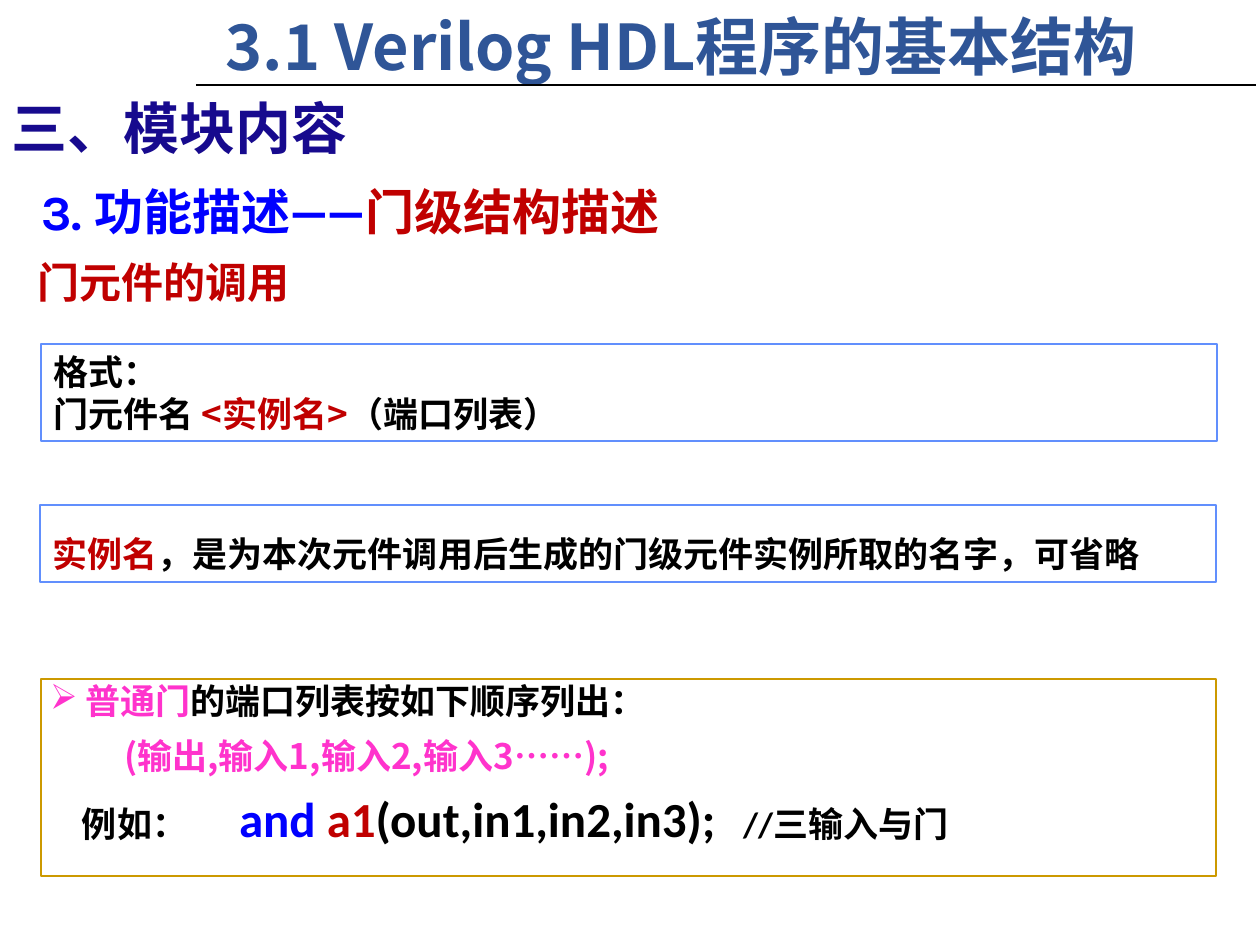
import pptx
import pptx.dml.color
import pptx.enum.shapes
import pptx.enum.text
import pptx.oxml.ns
import pptx.util
from lxml import etree

PX = 914400 / 126
THEME = {
    "cjk": "Noto Sans CJK SC", "heading": "Karla", "code": "Calibri",
    "black": "000000", "red": "C00000", "blue": "0000FF", "pink": "FF33CC",
    "title": "2F5597", "section": "170A8E", "frame": "618FFD", "gold": "CC9900",
    "sizes": {"title": 36, "section": 32, "topic": 28, "subtopic": 24, "body": 20, "code": 28},
}

# A run is (text, colour, size, font); size and font default to body and cjk.
TITLE = {"at": (213, 1, 994, 89),
         "paragraphs": [{"runs": [("3.1 Verilog HDL程序的基本结构", "title", "title")]}]}
RULE = (196, 85, 1256, 85)
BOXES = [
    {"at": (29, 265, 305, 48), "anchor": "BOTTOM", "inset": (9, 5),
     "paragraphs": [{"spacing": 0.9, "runs": [("门元件的调用", "red", "subtopic")]}]},
    {"at": (41, 679, 1175, 197), "line": ("gold", 1), "inset": (9, 5), "paragraphs": [
        {"spacing": 0.9, "margin": 35, "indent": -35, "bullet": "➢",
         "runs": [("普通门", "pink"), ("的端口列表按如下顺序列出：", "black")]},
        {"spacing": 0.9, "before": 10, "margin": 74,
         "runs": [("(输出,输入1,输入2,输入3……);", "pink")]},
        {"spacing": 0.9, "before": 10, "indent": 32, "tabs": (202, 757), "runs": [
            ("例如：\t", "black"),
            ("and ", "blue", "code", "code"),
            ("a1", "red", "code", "code"),
            ("(out,in1,in2,in3);", "black", "code", "code"),
            ("\t//三输入与门", "black", "body", "code")]},
    ]},
    {"at": (41, 344, 1176, 97), "line": ("frame", 0.75), "paragraphs": [
        {"runs": [("格式：", "black")]},
        {"runs": [("门元件名 ", "black"), ("<实例名>", "red"), ("（端口列表）", "black")]}]},
    {"at": (40, 505, 1176, 77), "line": ("frame", 0.75), "paragraphs": [
        {"spacing": 1.5, "runs": [
            ("实例名", "red"),
            ("，是为本次元件调用后生成的门级元件实例所取的名字，可省略", "black")]}]},
    {"at": (29, 175, 1058, 72), "paragraphs": [
        {"runs": [("3. 功能描述——", "blue", "topic", "heading"),
                  ("门级结构描述", "red", "topic", "heading")]}]},
    {"at": (-1, 87, 614, 81), "paragraphs": [
        {"runs": [("三、模块内容", "section", "section")]}]},
]


def px(value):
    return pptx.util.Emu(round(value * PX))


def colour(name):
    return pptx.dml.color.RGBColor.from_string(THEME[name])


def add_child(parent, tag, **attributes):
    return etree.SubElement(parent, pptx.oxml.ns.qn(tag),
                            {key: str(value) for key, value in attributes.items()})


def add_run(paragraph, text, colour_name, size="body", font="cjk"):
    run = paragraph.add_run()
    run.text = text
    formats = {"name": THEME[font], "size": pptx.util.Pt(THEME["sizes"][size]), "bold": True}
    for name, value in formats.items():
        setattr(run.font, name, value)
    run.font.color.rgb = colour(colour_name)
    east_asian = THEME["heading"] if font == "heading" else THEME["cjk"]
    add_child(run.font._element, "a:ea", typeface=east_asian)


def fill_paragraph(paragraph, content):
    properties = paragraph._p.get_or_add_pPr()
    properties.set("marL", str(px(content.get("margin", 0))))
    properties.set("indent", str(px(content.get("indent", 0))))
    formats = {"alignment": pptx.enum.text.PP_ALIGN.LEFT,
               "line_spacing": content.get("spacing", 1.0),
               "space_before": pptx.util.Pt(content.get("before", 0))}
    for name, value in formats.items():
        setattr(paragraph, name, value)
    if "bullet" in content:
        add_child(properties, "a:buChar", char=content["bullet"])
    else:
        add_child(properties, "a:buNone")
    if "tabs" in content:
        stops = add_child(properties, "a:tabLst")
        for position in content["tabs"]:
            add_child(stops, "a:tab", pos=px(position), algn="l")
    for run in content["runs"]:
        add_run(paragraph, *run)


def fill_box(shape, box):
    """Place a shape and write its paragraphs."""
    for name, value in zip(("left", "top", "width", "height"), box["at"]):
        setattr(shape, name, px(value))
    side, end = box.get("inset", (12.6, 6.3))
    frame = shape.text_frame
    formats = {
        "margin_left": px(side), "margin_right": px(side),
        "margin_top": px(end), "margin_bottom": px(end), "word_wrap": True,
        "auto_size": pptx.enum.text.MSO_AUTO_SIZE.NONE,
        "vertical_anchor": pptx.enum.text.MSO_ANCHOR[box.get("anchor", "TOP")],
    }
    for name, value in formats.items():
        setattr(frame, name, value)
    for index, content in enumerate(box["paragraphs"]):
        fill_paragraph(frame.add_paragraph() if index else frame.paragraphs[0], content)


def add_box(slide, box):
    place = [px(value) for value in box["at"]]
    if "line" in box:
        shape = slide.shapes.add_shape(pptx.enum.shapes.MSO_SHAPE.RECTANGLE, *place)
        shape.shadow.inherit = False
        shape.fill.background()
        line_colour, width = box["line"]
        shape.line.color.rgb = colour(line_colour)
        shape.line.width = pptx.util.Pt(width)
    else:
        shape = slide.shapes.add_textbox(*place)
    fill_box(shape, box)


def add_rule(slide):
    rule = slide.shapes.add_connector(pptx.enum.shapes.MSO_CONNECTOR.STRAIGHT,
                                      *[px(value) for value in RULE])
    rule.line.color.rgb = colour("black")
    rule.line.width = pptx.util.Pt(1.25)
    add_child(rule._element.spPr, "a:effectLst")


def main():
    presentation = pptx.Presentation()
    presentation.slide_width, presentation.slide_height = px(1260), px(945)
    slide = presentation.slides.add_slide(presentation.slide_layouts.get_by_name("Title Only"))
    fill_box(slide.shapes.title, TITLE)
    for box in BOXES:
        add_box(slide, box)
    add_rule(slide)
    presentation.save("out.pptx")


if __name__ == "__main__":
    main()
